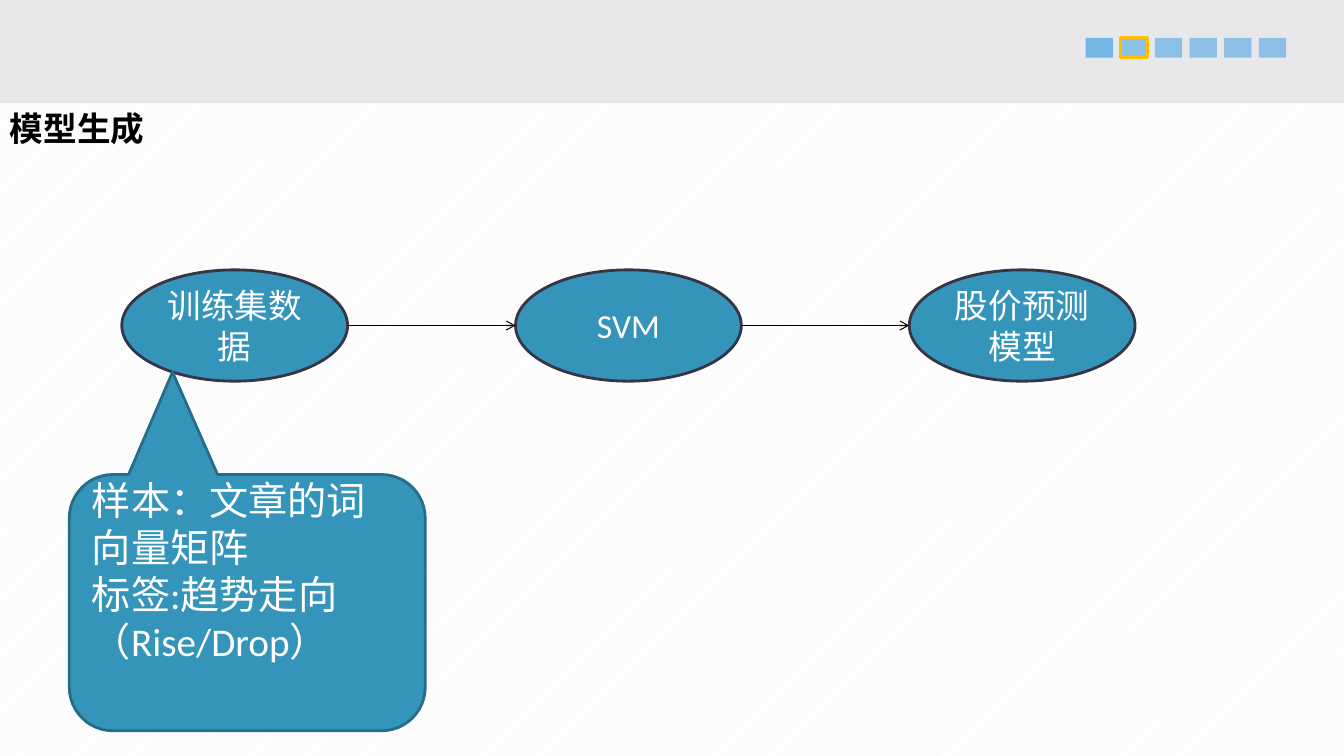
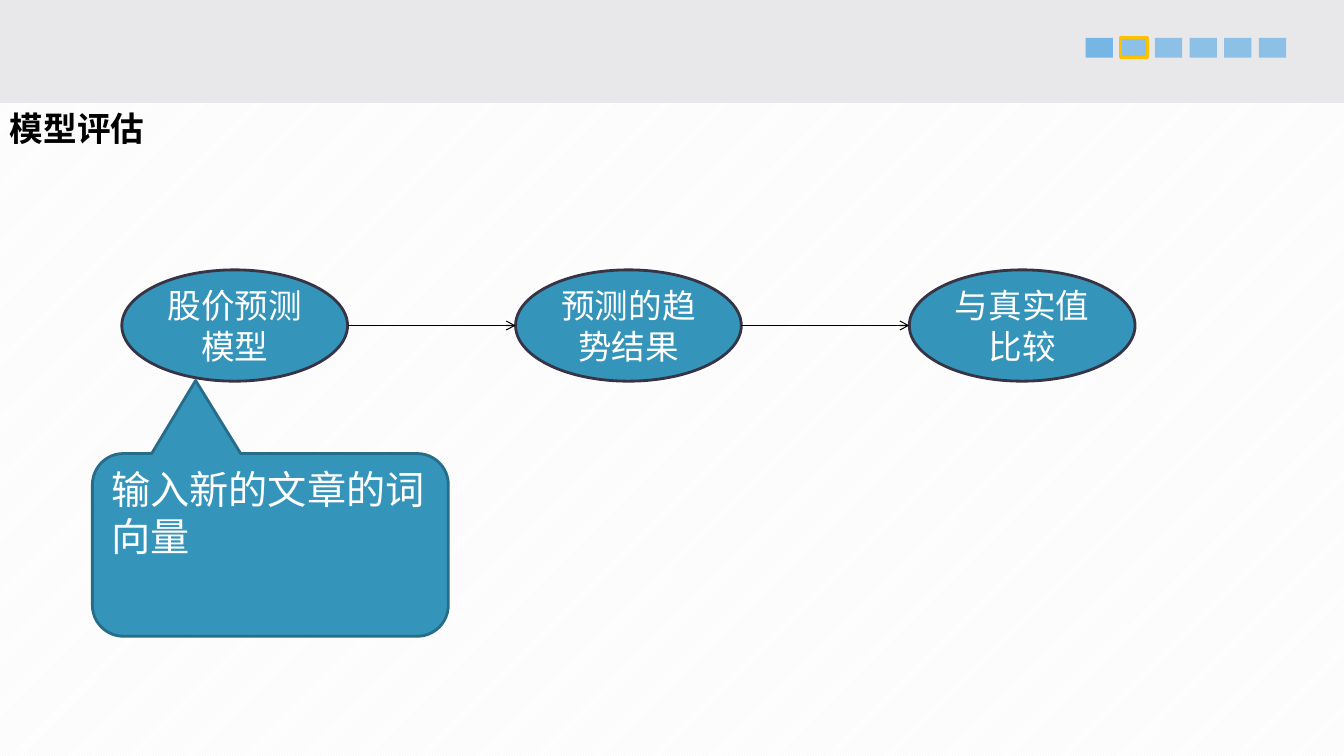
"""Build two slides that show how a stock trend model is made and evaluated."""
from dataclasses import dataclass
from itertools import pairwise

from lxml import etree
from pptx import Presentation
from pptx.dml.color import RGBColor
from pptx.enum.dml import MSO_PATTERN
from pptx.enum.shapes import MSO_CONNECTOR, MSO_SHAPE
from pptx.enum.text import MSO_ANCHOR, MSO_AUTO_SIZE, PP_ALIGN
from pptx.oxml.ns import qn
from pptx.shapes.autoshape import Shape
from pptx.slide import Slide
from pptx.util import Emu, Pt

PX = 9525
WIDTH, HEIGHT, BAND_H = 1280, 720, 98
COLORS = {
    "paper": "FFFFFF",
    "stripe": "F2F2F2",
    "band": "E8E8EA",
    "marker": "75B6E5",
    "current": "FFC000",
    "node": "3494BA",
    "node_line": "373545",
    "callout_line": "266D8A",
    "title": "000000",
    "arrow": "000000",
    "text": "FFFFFF",
}
LATIN, CJK = "Calibri", "Noto Sans CJK SC"
MARKER_COUNT, CURRENT_MARKER = 6, 1


@dataclass(frozen=True)
class Box:
    left: int
    top: int
    width: int
    height: int

    def emu(self) -> list[Emu]:
        return [px(v) for v in (self.left, self.top, self.width, self.height)]

    def moved(self, dx: int) -> "Box":
        return Box(self.left + dx, self.top, self.width, self.height)


@dataclass(frozen=True)
class FlowSlide:
    title: str
    nodes: tuple[str, ...]
    note: str
    note_box: Box


BAND = Box(0, 0, WIDTH, BAND_H)
TITLE = Box(0, BAND_H, 1093, 48)
MARKER, MARKER_STEP = Box(1034, 36, 26, 19), 33
NODE, NODE_STEP = Box(116, 257, 215, 106), 375

SLIDES = (
    FlowSlide(
        "模型生成",
        ("训练集数据", "SVM", "股价预测模型"),
        "样本：文章的词向量矩阵\n标签:趋势走向（Rise/Drop）",
        Box(66, 452, 339, 244),
    ),
    FlowSlide(
        "模型评估",
        ("股价预测模型", "预测的趋势结果", "与真实值比较"),
        "输入新的文章的词向量",
        Box(88, 432, 339, 174),
    ),
)


def px(value: int) -> Emu:
    return Emu(value * PX)


def rgb(name: str) -> RGBColor:
    return RGBColor.from_string(COLORS[name])


def add_box(slide: Slide, kind: MSO_SHAPE, box: Box, fill: str,
            line: str | None = None) -> Shape:
    sp = slide.shapes.add_shape(kind, *box.emu())
    sp.shadow.inherit = False
    sp.fill.solid()
    sp.fill.fore_color.rgb = rgb(fill)
    if line:
        sp.line.color.rgb = rgb(line)
        sp.line.width = Pt(2)
    else:
        sp.line.fill.background()
    return sp


def set_text(sp: Shape, text: str, size: int, color: str = "text",
             font: str = LATIN, bold: bool = False,
             align: PP_ALIGN = PP_ALIGN.LEFT) -> None:
    tf = sp.text_frame
    tf.word_wrap = True
    tf.text = text
    for p in tf.paragraphs:
        p.alignment = align
        for r in p.runs:
            r.font.size = Pt(size)
            r.font.bold = bold
            r.font.name = font
            r.font.color.rgb = rgb(color)
            ea = etree.Element(qn("a:ea"), typeface=CJK)
            r.font._element.find(qn("a:latin")).addnext(ea)


def add_markers(slide: Slide) -> None:
    for i in range(MARKER_COUNT):
        line = "current" if i == CURRENT_MARKER else None
        sp = add_box(slide, MSO_SHAPE.RECTANGLE,
                     MARKER.moved(i * MARKER_STEP), "marker", line)
        if i:
            color = sp._element.spPr.find(qn("a:solidFill"))[0]
            etree.SubElement(color, qn("a:alpha"), val="80000")


def add_title(slide: Slide, title: str) -> None:
    sp = slide.shapes.add_textbox(*TITLE.emu())
    set_text(sp, title, 24, "title", CJK, bold=True)
    sp.text_frame.auto_size = MSO_AUTO_SIZE.SHAPE_TO_FIT_TEXT


def add_arrow(slide: Slide, start: Box, end: Box) -> None:
    y = px(start.top + start.height // 2)
    cxn = slide.shapes.add_connector(
        MSO_CONNECTOR.STRAIGHT, px(start.left + start.width), y, px(end.left), y)
    cxn.line.color.rgb = rgb("arrow")
    cxn.line.width = Pt(0.75)
    etree.SubElement(cxn.line._get_or_add_ln(), qn("a:tailEnd"), type="arrow")
    etree.SubElement(cxn._element.spPr, qn("a:effectLst"))


def add_flow(slide: Slide, labels: tuple[str, ...]) -> None:
    boxes = [NODE.moved(i * NODE_STEP) for i in range(len(labels))]
    for box, label in zip(boxes, labels):
        sp = add_box(slide, MSO_SHAPE.OVAL, box, "node", "node_line")
        set_text(sp, label, 24, align=PP_ALIGN.CENTER)
        sp.text_frame.vertical_anchor = MSO_ANCHOR.MIDDLE
    for start, end in pairwise(boxes):
        add_arrow(slide, start, end)


def add_callout(slide: Slide, box: Box, note: str) -> None:
    sp = add_box(slide, MSO_SHAPE.ROUNDED_RECTANGULAR_CALLOUT, box,
                 "node", "callout_line")
    for i, value in enumerate((-0.21, -0.9, 0.17)):
        sp.adjustments[i] = value
    set_text(sp, note, 28)
    sp.text_frame.vertical_anchor = MSO_ANCHOR.MIDDLE
    sp.text_frame.margin_bottom = px(67)


def set_background(prs: Presentation) -> None:
    fill = prs.slide_master.background.fill
    fill.patterned()
    fill.pattern = MSO_PATTERN.LIGHT_UPWARD_DIAGONAL
    fill.fore_color.rgb = rgb("stripe")
    fill.back_color.rgb = rgb("paper")


def add_flow_slide(prs: Presentation, content: FlowSlide) -> None:
    slide = prs.slides.add_slide(prs.slide_layouts[6])
    add_box(slide, MSO_SHAPE.RECTANGLE, BAND, "band")
    add_markers(slide)
    add_title(slide, content.title)
    add_flow(slide, content.nodes)
    add_callout(slide, content.note_box, content.note)


def main() -> None:
    prs = Presentation()
    prs.slide_width, prs.slide_height = px(WIDTH), px(HEIGHT)
    set_background(prs)
    for content in SLIDES:
        add_flow_slide(prs, content)
    prs.save("out.pptx")


if __name__ == "__main__":
    main()
